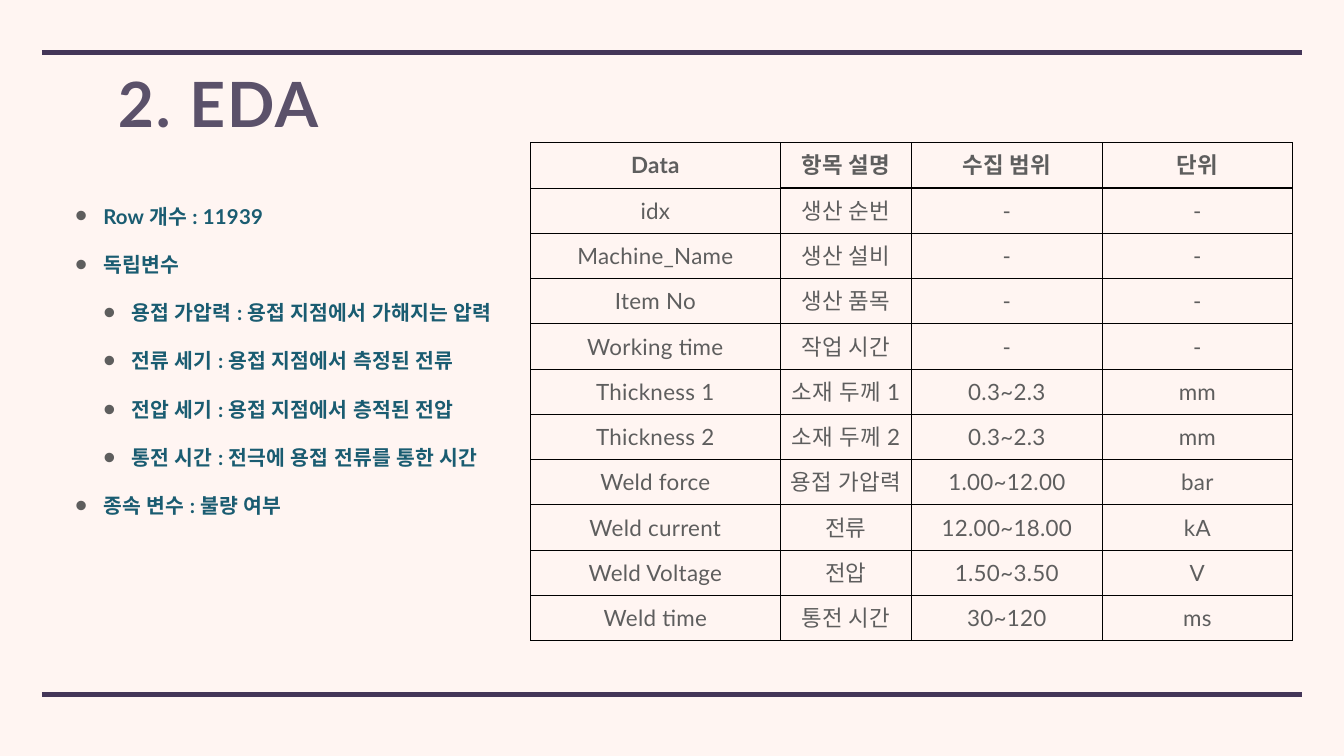
from lxml import etree
from pptx import Presentation
from pptx.dml.color import RGBColor
from pptx.enum.text import MSO_ANCHOR, MSO_AUTO_SIZE, PP_ALIGN
from pptx.oxml.ns import qn
from pptx.util import Inches, Pt

TOP, MIDDLE = MSO_ANCHOR.TOP, MSO_ANCHOR.MIDDLE
LEFT, CENTER = PP_ALIGN.LEFT, PP_ALIGN.CENTER
NO_FIT = MSO_AUTO_SIZE.NONE
FONT = "Lato"
COLORS = {"back": "FFF5F2", "rule": "443658", "title": "5B516A",
          "list": "1A5C71", "text": "5E5E5E", "grid": "000000"}
PAD = Inches(0.06)
PADS = {f"margin_{side}": PAD for side in ("left", "top", "right", "bottom")}
FRAME = {**PADS, "word_wrap": True, "auto_size": NO_FIT, "vertical_anchor": TOP}
CELL = {**PADS, "vertical_anchor": MIDDLE}

ITEMS = [
    (0, "Row 개수 : 11939"),
    (0, "독립변수"),
    (1, "용접 가압력 : 용접 지점에서 가해지는 압력"),
    (1, "전류 세기 : 용접 지점에서 측정된 전류"),
    (1, "전압 세기 : 용접 지점에서 층적된 전압"),
    (1, "통전 시간 : 전극에 용접 전류를 통한 시간"),
    (0, "종속 변수 : 불량 여부"),
]
ROWS = [
    ("Data", "항목 설명", "수집 범위", "단위"),
    ("idx", "생산 순번", "-", "-"),
    ("Machine_Name", "생산 설비", "-", "-"),
    ("Item No", "생산 품목", "-", "-"),
    ("Working time", "작업 시간", "-", "-"),
    ("Thickness 1", "소재 두께 1", "0.3~2.3", "mm"),
    ("Thickness 2", "소재 두께 2", "0.3~2.3", "mm"),
    ("Weld force", "용접 가압력", "1.00~12.00", "bar"),
    ("Weld current", "전류", "12.00~18.00", "kA"),
    ("Weld Voltage", "전압", "1.50~3.50", "V"),
    ("Weld time", "통전 시간", "30~120", "ms"),
]
WIDTHS = (4.95, 2.61, 3.78, 3.78)


def color(name):
    return RGBColor.from_string(COLORS[name])


def apply(target, values):
    for name, value in values.items():
        setattr(target, name, value)


def node(parent, tag, **values):
    child = etree.SubElement(parent, qn(tag))
    for name, value in values.items():
        child.set(name, str(value))
    return child


def write(para, text, size, tint, bold, gap, align=LEFT):
    para.alignment = align
    run = para.add_run()
    run.text = text
    apply(run.font, {"name": FONT, "size": Pt(size), "bold": bold})
    run.font.color.rgb = color(tint)
    props = run.font._element
    props.set("spc", str(round(gap * 100)))
    for tag in ("a:ea", "a:cs"):
        node(props, tag, typeface=FONT)


def place(shape, left, top, width, height):
    apply(shape, {"left": Inches(left), "top": Inches(top),
                  "width": Inches(width), "height": Inches(height)})
    apply(shape.text_frame, FRAME)


def add_rule(slide, y):
    line = slide.shapes.add_connector(1, Inches(0.83), Inches(y), Inches(25.83), Inches(y))
    line.line.color.rgb = color("rule")
    line.line.width = Pt(6)
    node(line._element.spPr, "a:effectLst")


def add_title(slide, text):
    shape = slide.shapes.title
    place(shape, 2.28, 1.4, 22.1, 1.8)
    para = shape.text_frame.paragraphs[0]
    para.line_spacing = 0.9
    write(para, text, 89.1, "title", True, 2.7)


def add_bullet(para, level):
    apply(para, {"level": level, "space_before": Pt(34)})
    props = para._p.get_or_add_pPr()
    indent = Inches(0.56)
    props.set("marL", str(indent * (level + 1)))
    props.set("indent", str(-indent))
    node(node(props, "a:buClr"), "a:srgbClr", val=COLORS["text"])
    node(props, "a:buSzPct", val=170000)
    node(props, "a:buChar", char="•")


def add_list(slide, items):
    shape = slide.placeholders[1]
    place(shape, 1.43, 3.98, 22.1, 6.87)
    frame = shape.text_frame
    for index, (level, text) in enumerate(items):
        para = frame.add_paragraph() if index else frame.paragraphs[0]
        add_bullet(para, level)
        write(para, text, 29.2, "list", True, 0.3)


def add_edges(cell, sizes):
    props = cell._tc.get_or_add_tcPr()
    for index, (side, size) in enumerate(sizes.items()):
        edge = node(props, f"a:ln{side}", w=Pt(size))
        node(node(edge, "a:solidFill"), "a:srgbClr", val=COLORS["grid"])
        props.insert(index, edge)


def add_grid(slide, rows):
    high = 9.88
    shape = slide.shapes.add_table(len(rows), len(WIDTHS), Inches(10.53), Inches(2.83),
                                   Inches(sum(WIDTHS)), Inches(high))
    table = shape.table
    apply(table, {"first_row": False, "horz_banding": False})
    for column, width in zip(table.columns, WIDTHS):
        column.width = Inches(width)
    for r, texts in enumerate(rows):
        table.rows[r].height = Inches(high / len(rows))
        for c, text in enumerate(texts):
            cell = table.cell(r, c)
            apply(cell, CELL)
            cell.fill.background()
            write(cell.text_frame.paragraphs[0], text, 32, "text", r == 0, 0.4, CENTER)
            add_edges(cell, {"L": 1, "R": 1, "T": 3 if r == 1 and c else 1,
                             "B": 3 if r == 0 and c else 1})


def main():
    deck = Presentation()
    apply(deck, {"slide_width": Inches(26.67), "slide_height": Inches(15)})
    slide = deck.slides.add_slide(deck.slide_layouts[1])
    fill = slide.background.fill
    fill.solid()
    fill.fore_color.rgb = color("back")
    for y in (1.04, 13.78):
        add_rule(slide, y)
    add_list(slide, ITEMS)
    add_title(slide, "2. EDA")
    add_grid(slide, ROWS)
    deck.save("out.pptx")


main()
